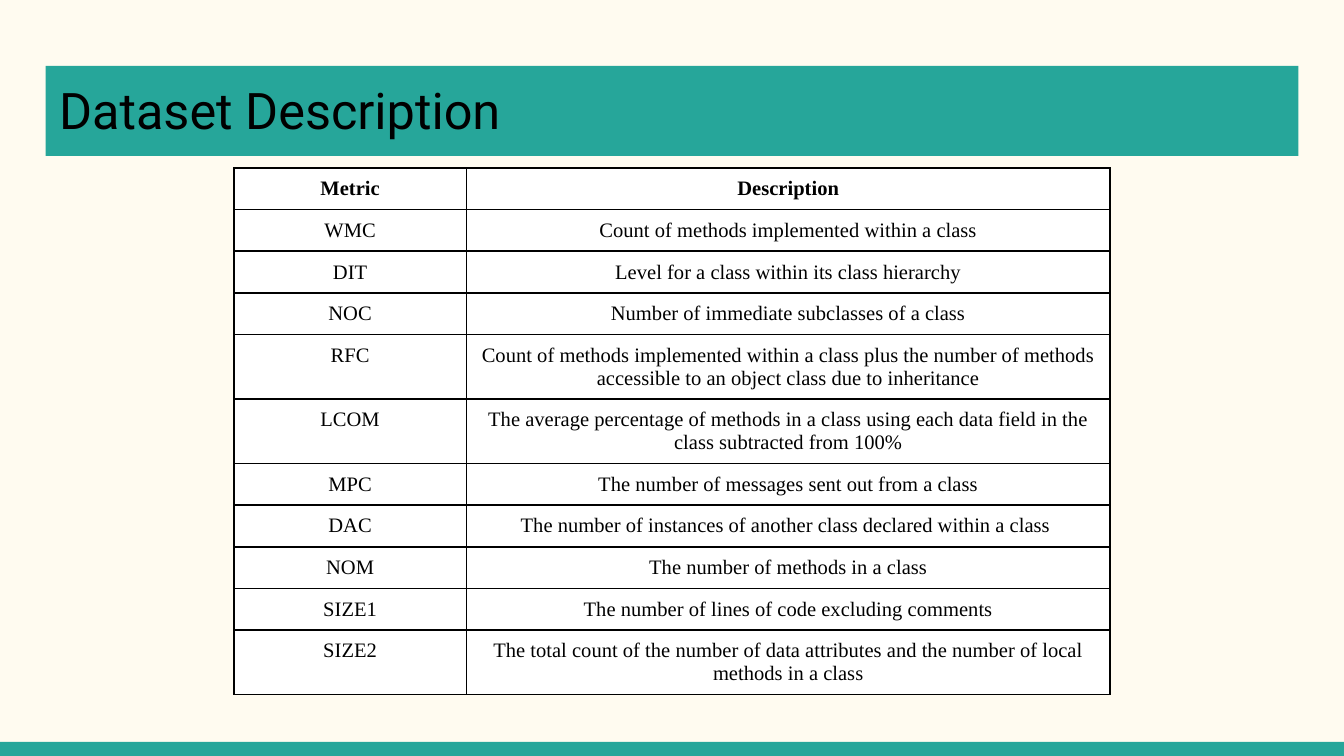
from lxml.etree import SubElement
from pptx import Presentation
from pptx.dml.color import RGBColor
from pptx.enum.shapes import MSO_SHAPE as Shape
from pptx.enum.text import MSO_ANCHOR as Anchor, MSO_AUTO_SIZE as AutoSize, PP_ALIGN as Align
from pptx.oxml.ns import qn
from pptx.util import Inches, Pt

COLORS = {"page": "FFFBF0", "accent": "26A69A", "cell": "FFFFFF", "ink": "000000"}
COLUMN_WIDTHS = (1.73, 4.79)
ROW_HEIGHT = 0.3  # rows grow to fit their text
METRICS = [
    ("Metric", "Description"),
    ("WMC", "Count of methods implemented within a class"),
    ("DIT", "Level for a class within its class hierarchy"),
    ("NOC", "Number of immediate subclasses of a class"),
    ("RFC", "Count of methods implemented within a class plus the number of methods "
            "accessible to an object class due to inheritance"),
    ("LCOM", "The average percentage of methods in a class using each data field "
             "in the class subtracted from 100%"),
    ("MPC", "The number of messages sent out from a class"),
    ("DAC", "The number of instances of another class declared within a class "),
    ("NOM", "The number of methods in a class"),
    ("SIZE1", "The number of lines of code excluding comments"),
    ("SIZE2", "The total count of the number of data attributes and the number of "
              "local methods in a class"),
]


def color(name):
    return RGBColor.from_string(COLORS[name])


def paint(fill, name):
    fill.solid()
    fill.fore_color.rgb = color(name)


def write(frame, text, font, size, align, bold=False):
    frame.text = text
    paragraph = frame.paragraphs[0]
    paragraph.alignment = align
    span = paragraph.runs[0]
    span.font.name, span.font.size, span.font.bold = font, Pt(size), bold
    span.font.color.rgb = color("ink")


def add_footer_bar(page):
    bar = page.shapes.add_shape(Shape.RECTANGLE, 0, Inches(5.52), Inches(10), Inches(0.11))
    bar.shadow.inherit = False
    paint(bar.fill, "accent")
    bar.line.fill.background()


def add_title(page, text):
    title = page.shapes.title
    title.left, title.top = Inches(0.34), Inches(0.49)
    title.width, title.height = Inches(9.32), Inches(0.67)
    paint(title.fill, "accent")
    frame = title.text_frame
    frame.auto_size = AutoSize.NONE
    frame.vertical_anchor = Anchor.TOP
    frame.margin_left = frame.margin_right = Inches(0.1)
    frame.margin_top = frame.margin_bottom = Inches(0.1)
    write(frame, text, "Roboto", 27, Align.LEFT)


def add_borders(cell):
    properties = cell._tc.get_or_add_tcPr()
    for side in ("a:lnL", "a:lnR", "a:lnT", "a:lnB"):
        line = SubElement(properties, qn(side), w=str(Pt(1)))
        fill = SubElement(line, qn("a:solidFill"))
        SubElement(fill, qn("a:srgbClr"), val=COLORS["ink"])


def format_cell(cell, text, bold):
    add_borders(cell)
    paint(cell.fill, "cell")
    cell.margin_left = cell.margin_right = Inches(0.07)
    cell.margin_top = cell.margin_bottom = Inches(0.07)
    cell.vertical_anchor = Anchor.TOP
    write(cell.text_frame, text, "Times New Roman", 11, Align.CENTER, bold)


def add_metric_table(page):
    table = page.shapes.add_table(
        len(METRICS), len(COLUMN_WIDTHS), Inches(1.74), Inches(1.25),
        Inches(sum(COLUMN_WIDTHS)), Inches(ROW_HEIGHT * len(METRICS))).table
    for column, width in zip(table.columns, COLUMN_WIDTHS):
        column.width = Inches(width)
    for row, texts in enumerate(METRICS):
        for column, text in enumerate(texts):
            format_cell(table.cell(row, column), text, bold=row == 0)


def main():
    deck = Presentation()
    deck.slide_width = Inches(10)
    deck.slide_height = deck.slide_width * 9 // 16  # widescreen
    page = deck.slides.add_slide(deck.slide_layouts[5])  # Title Only
    paint(page.background.fill, "page")
    add_footer_bar(page)
    add_title(page, "Dataset Description")
    add_metric_table(page)
    deck.save("out.pptx")


if __name__ == "__main__":
    main()
